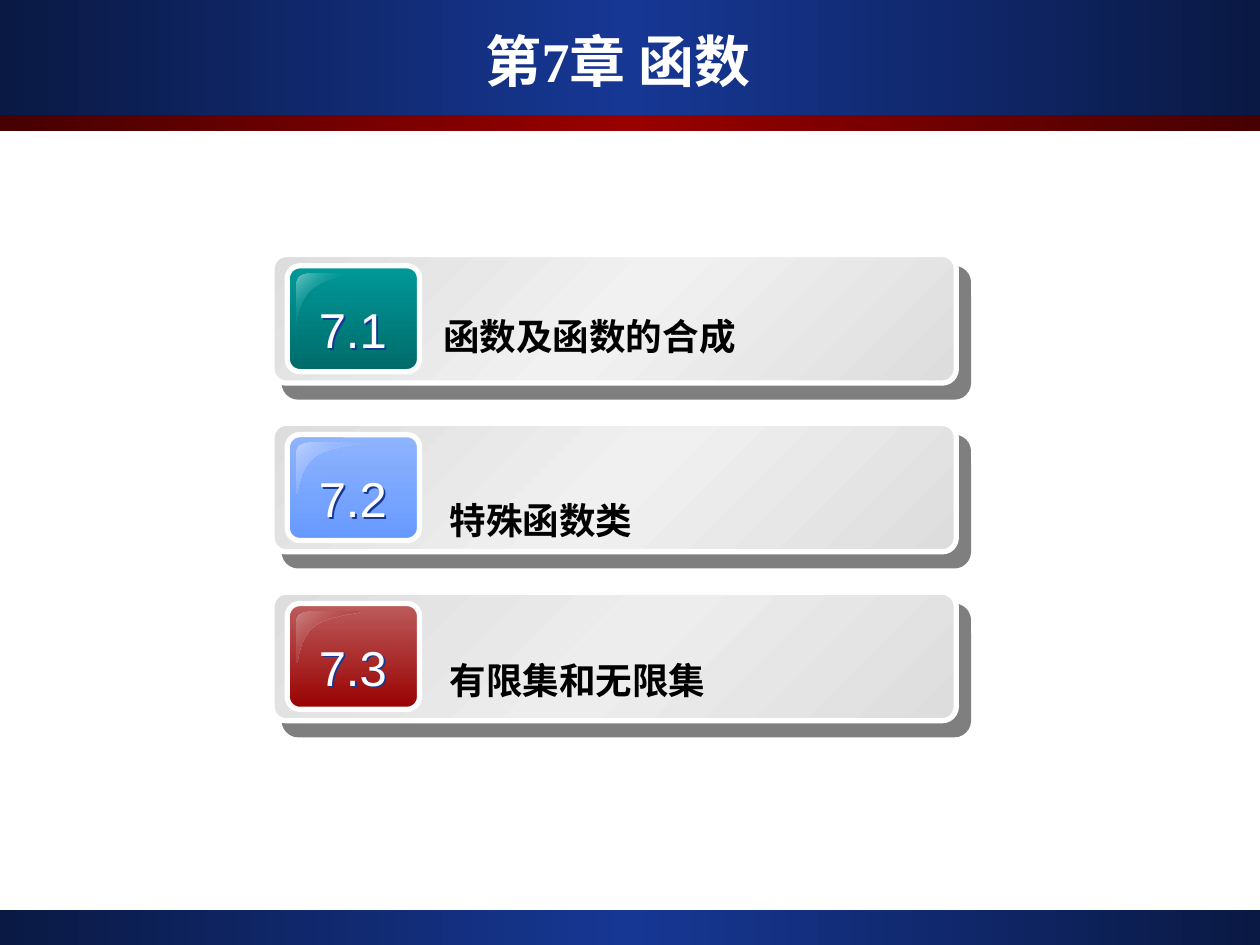
from lxml.etree import SubElement
from pptx import Presentation
from pptx.dml.color import RGBColor
from pptx.enum.shapes import MSO_SHAPE
from pptx.enum.text import MSO_ANCHOR, MSO_AUTO_SIZE, PP_ALIGN
from pptx.oxml.ns import qn
from pptx.util import Inches, Pt

WHITE = RGBColor(0xFF, 0xFF, 0xFF)
BLACK = RGBColor(0x00, 0x00, 0x00)
NAVY = RGBColor(0x0A, 0x19, 0x44)
BLUE = RGBColor(0x16, 0x37, 0x94)
MAROON = RGBColor(0x46, 0x00, 0x00)
RED = RGBColor(0x99, 0x00, 0x00)
ROSE = RGBColor(0xBD, 0x5C, 0x5C)
PINK = RGBColor(0xCC, 0x82, 0x82)
TEAL = RGBColor(0x00, 0x99, 0x99)
DARK_TEAL = RGBColor(0x00, 0x6A, 0x6A)
PALE_TEAL = RGBColor(0x73, 0xC6, 0xC6)
SKY = RGBColor(0x66, 0x99, 0xFF)
LIGHT_SKY = RGBColor(0x8F, 0xB4, 0xFE)
PALE_SKY = RGBColor(0xBD, 0xD2, 0xFE)
GRAY = RGBColor(0xDD, 0xDD, 0xDD)

ROW_PITCH = 1.34
# number, label, panel highlight, tile gradient, gloss gradient (colour, opacity),
# label box inside the row, line spacing
SECTIONS = [
    ("7.1", "函数及函数的合成", RGBColor(0xF1, 0xF1, 0xF1), [TEAL, DARK_TEAL],
     [(PALE_TEAL, 100), (TEAL, 0), (PALE_TEAL, 100)], (1.26, 0.26, 3.89, 0.51), 0.6),
    ("7.2", "特殊函数类", RGBColor(0xF0, 0xF0, 0xF0), [LIGHT_SKY, SKY],
     [(SKY, 0), (PALE_SKY, 100)], (1.31, 0.14, 3.99, 0.85), 1.1),
    ("7.3", "有限集和无限集", RGBColor(0xED, 0xED, 0xED), [ROSE, RED],
     [(RED, 0), (PINK, 100)], (1.31, 0.14, 3.99, 0.79), 1.0),
]
# Corner highlight, relative to its tile: a curve has two controls and an end,
# a straight line only its end
GLOSS_START = (0.17, 0.06)
GLOSS_SEGMENTS = [
    [(0.11, 0.06), (0.07, 0.09), (0.07, 0.14)],
    [(0.07, 0.47)],
    [(0.09, 0.47), (0.08, 0.27), (0.21, 0.18)],
    [(0.34, 0.08), (0.59, 0.08), (0.58, 0.06)],
    [GLOSS_START],
]


def add_color(parent, color, opacity):
    element = SubElement(parent, qn("a:srgbClr"), val=str(color))
    if opacity < 100:
        SubElement(element, qn("a:alpha"), val=str(opacity * 1000))


def set_gradient(shape, colors, angle):
    """Spread colours, or (colour, opacity) pairs, evenly; angle is clockwise."""
    shape.fill.gradient()
    gradient = shape.element.spPr.find(qn("a:gradFill"))
    for child in list(gradient):
        gradient.remove(child)
    stops = SubElement(gradient, qn("a:gsLst"))
    for index, item in enumerate(colors):
        color, opacity = (item, 100) if isinstance(item, RGBColor) else item
        position = index * 100000 // (len(colors) - 1)
        add_color(SubElement(stops, qn("a:gs"), pos=str(position)), color, opacity)
    SubElement(gradient, qn("a:lin"), ang=str(angle * 60000), scaled="0")


def set_shadow(shape, color, opacity, distance, angle):
    shape.shadow.inherit = False
    effects = shape.element.spPr.find(qn("a:effectLst"))
    shadow = SubElement(effects, qn("a:outerShdw"), blurRad="0", dist=str(Pt(distance)),
                        dir=str(angle * 60000), algn="ctr", rotWithShape="0")
    add_color(shadow, color, opacity)


def add_box(slide, box, colors, angle, adjustment=None):
    """Add a gradient rectangle; an adjustment makes it rounded with a white edge."""
    kind = MSO_SHAPE.RECTANGLE if adjustment is None else MSO_SHAPE.ROUNDED_RECTANGLE
    shape = slide.shapes.add_shape(kind, *map(Inches, box))
    shape.shadow.inherit = False
    set_gradient(shape, colors, angle)
    if adjustment is None:
        shape.line.fill.background()
    else:
        shape.adjustments[0] = adjustment
        shape.line.color.rgb = WHITE
        shape.line.width = Pt(3)
    return shape


def add_text(slide, box, text, *, size, color, font="Arial", bold=False, wrap=True, grow=True,
             align=PP_ALIGN.LEFT, anchor=MSO_ANCHOR.TOP, spacing=None, baseline=0,
             right_inset=0.1):
    shape = slide.shapes.add_textbox(*map(Inches, box))
    frame = shape.text_frame
    frame.word_wrap = wrap
    frame.auto_size = MSO_AUTO_SIZE.SHAPE_TO_FIT_TEXT if grow else MSO_AUTO_SIZE.NONE
    frame.vertical_anchor = anchor
    frame.margin_right = Inches(right_inset)
    paragraph = frame.paragraphs[0]
    paragraph.alignment = align
    paragraph.line_spacing = spacing
    run = paragraph.add_run()
    run.text = text
    run.font.name = font
    run.font.size = Pt(size)
    run.font.bold = bold
    run.font.color.rgb = color
    if baseline:
        run.font._element.set("baseline", str(baseline * 1000))
    return shape


def bend_segments(shape, segments):
    """Join the lines of each three-point segment into one Bézier curve."""
    lines = iter(list(shape.element.spPr.iter(qn("a:lnTo"))))
    for segment in segments:
        group = [next(lines) for _ in segment]
        if len(group) == 3:
            curve = group[0].makeelement(qn("a:cubicBezTo"))
            group[0].addprevious(curve)
            for line in group:
                curve.append(line[0])
                line.getparent().remove(line)


def add_gloss(slide, left, top, colors):
    points = [GLOSS_START] + [point for segment in GLOSS_SEGMENTS for point in segment]
    outline = [(Inches(left + x), Inches(top + y)) for x, y in points]
    builder = slide.shapes.build_freeform(*outline[0])
    builder.add_line_segments(outline[1:], close=True)
    gloss = builder.convert_to_shape()
    bend_segments(gloss, GLOSS_SEGMENTS)
    gloss.shadow.inherit = False
    gloss.line.fill.background()
    set_gradient(gloss, colors, 225)


def add_section(slide, left, top, section):
    number, label, highlight, tile_colors, gloss_colors, label_box, spacing = section
    panel = add_box(slide, (left, top, 5.43, 1.02), [GRAY, highlight, GRAY], 225, 0.109)
    set_shadow(panel, BLACK, 50, 10.6, 49)
    add_box(slide, (left + 0.12, top + 0.09, 1.05, 0.84), tile_colors, 90, 0.119)
    add_gloss(slide, left + 0.12, top + 0.09, gloss_colors)
    number_box = add_text(slide, (left + 0.27, top + 0.36, 0.74, 0.52), number, size=28,
                          color=WHITE, wrap=False, align=PP_ALIGN.CENTER, spacing=0.9)
    set_shadow(number_box, BLUE, 100, 1.5, 45)
    x, y, width, height = label_box
    add_text(slide, (left + x, top + y, width, height), label, size=36, color=BLACK,
             bold=True, spacing=spacing, baseline=-25)


def add_bands(slide, width, height):
    add_box(slide, (0, height - 0.28, width, 0.28), [NAVY, BLUE, NAVY], 180)
    add_box(slide, (0, 0, width, 0.91), [NAVY, BLUE, NAVY], 180)
    add_box(slide, (0, 0.91, width, 0.13), [MAROON, RED, MAROON], 180)


def main():
    presentation = Presentation()
    presentation.slide_width = Inches(10)
    presentation.slide_height = Inches(7.5)
    slide = presentation.slides.add_slide(presentation.slide_layouts[6])
    add_bands(slide, 10, 7.5)
    for index, section in enumerate(SECTIONS):
        add_section(slide, 2.16, 2.02 + index * ROW_PITCH, section)
    add_text(slide, (0.33, 0.17, 9.25, 0.62), "第7章 函数", size=32, color=WHITE,
             font="Times New Roman", bold=True, grow=False, align=PP_ALIGN.CENTER,
             anchor=MSO_ANCHOR.MIDDLE, right_inset=0.2)
    presentation.save("out.pptx")


if __name__ == "__main__":
    main()
